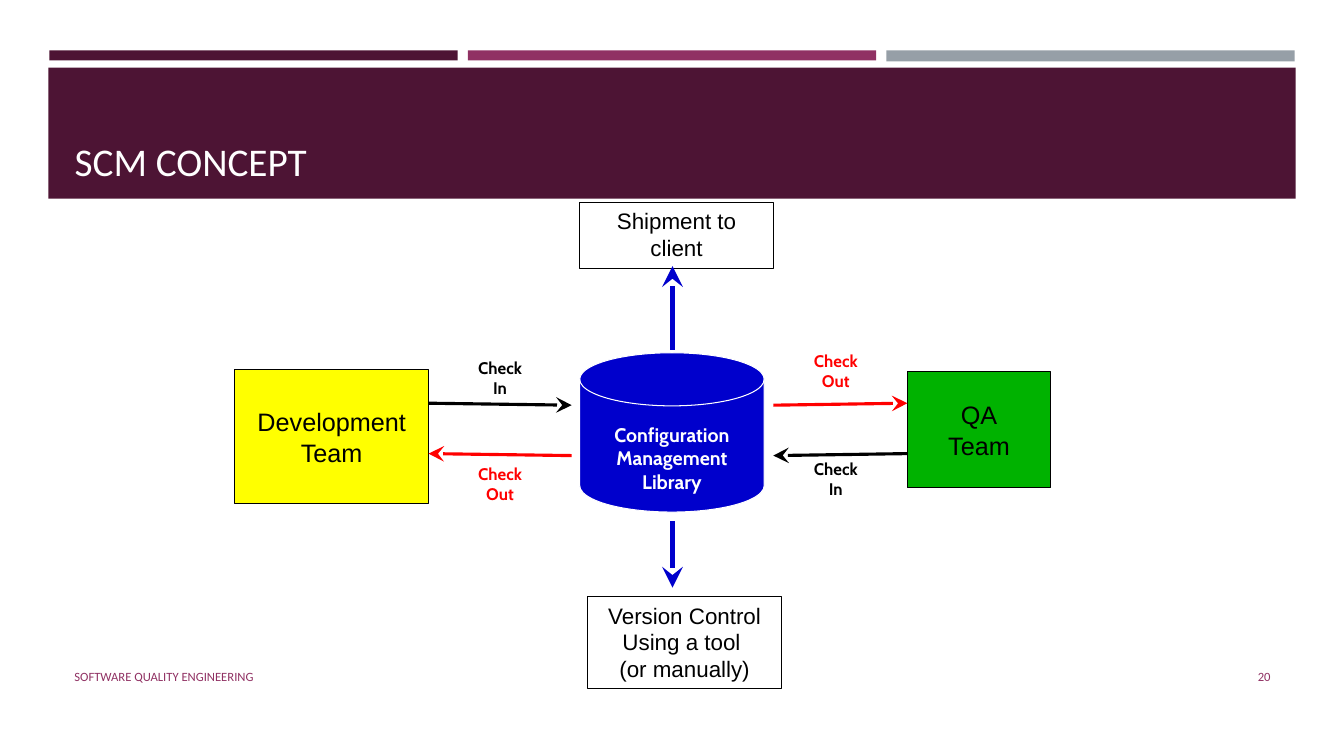
import pptx
import pptx.util
import pptx.dml.color
import pptx.enum.shapes
import pptx.enum.text
import lxml.etree

Inches, Pt = pptx.util.Inches, pptx.util.Pt
RGBColor = pptx.dml.color.RGBColor
Kind = pptx.enum.shapes.MSO_SHAPE
Align = pptx.enum.text.PP_ALIGN
Anchor = pptx.enum.text.MSO_ANCHOR

PLUM = RGBColor(0x4D, 0x14, 0x34)
ROSE = RGBColor(0x90, 0x31, 0x63)
GREY = RGBColor(0x96, 0x9F, 0xA7)
YELLOW = RGBColor(0xFF, 0xFF, 0x00)
GREEN = RGBColor(0x00, 0xB2, 0x00)
BLUE = RGBColor(0x00, 0x00, 0xCC)
RED = RGBColor(0xFF, 0x00, 0x00)
BLACK = RGBColor(0x00, 0x00, 0x00)
WHITE = RGBColor(0xFF, 0xFF, 0xFF)

# Content: places are left, top, width, height in inches
TITLE = "SCM CONCEPT"
BANDS = [
    ((0.49, 0.5, 4.05, 0.1), PLUM),
    ((4.64, 0.5, 4.05, 0.1), ROSE),
    ((8.79, 0.5, 4.05, 0.11), GREY),
    ((0.48, 0.67, 12.37, 1.3), PLUM),
]
TEAMS = [
    ((2.33, 3.67, 1.92, 1.33), ["Development", "Team"], YELLOW),
    ((9, 3.69, 1.42, 1.15), ["QA", "Team"], GREEN),
]
NOTES = [
    ((5.83, 5.92, 1.92, 0.91), ["Version Control Using a tool ", "(or manually)"]),
    ((5.75, 2.01, 1.92, 0.65), ["Shipment to client"]),
]
STORE = ((5.75, 3.5, 1.83, 1.58), ["Configuration", "Management", "Library"])
LABELS = [
    ((4.5, 3.5), ["Check", "In"], BLACK),
    ((4.5, 4.55), ["Check", "Out"], RED),
    ((7.83, 4.5), ["Check", "In"], BLACK),
    ((7.83, 3.43), ["Check", "Out"], RED),
]
# Each arrow points to its second end
ARROWS = [
    ((4.25, 4), (5.67, 4.02), BLACK, 2.25),
    ((5.67, 4.52), (4.25, 4.5), RED, 2.25),
    ((7.67, 4.02), (9, 4), RED, 2.25),
    ((9, 4.5), (7.67, 4.52), BLACK, 2.25),
    ((6.67, 5.17), (6.67, 5.83), BLUE, 3),
    ((6.67, 3.47), (6.67, 2.64), BLUE, 3),
]
FOOTER = [
    ((0.64, 6.51, 7.56, 0.4), "SOFTWARE QUALITY ENGINEERING", Align.LEFT),
    ((11.55, 6.51, 1.15, 0.4), "20", Align.RIGHT),
]

deck = pptx.Presentation()
deck.slide_width, deck.slide_height = Inches(13.33), Inches(7.5)
slide = deck.slides.add_slide(deck.slide_layouts[5])
shapes = slide.shapes


def write(shape, lines, size, face, color, align=Align.CENTER,
          anchor=Anchor.MIDDLE, bold=False, wrap=True):
    frame = shape.text_frame
    frame.word_wrap = wrap
    frame.vertical_anchor = anchor
    for i, line in enumerate(lines):
        para = frame.add_paragraph() if i else frame.paragraphs[0]
        para.alignment = align
        run = para.add_run()
        run.text = line
        run.font.size = Pt(size)
        run.font.name = face
        run.font.bold = bold
        run.font.color.rgb = color


def draw(kind, place, fill=None, edge=None):
    shape = shapes.add_shape(kind, *map(Inches, place))
    shape.shadow.inherit = False
    if fill is None:
        shape.fill.background()
    else:
        shape.fill.solid()
        shape.fill.fore_color.rgb = fill
    if edge is None:
        shape.line.fill.background()
    else:
        shape.line.color.rgb = edge
        shape.line.width = Pt(0.75)
    return shape


def arrow(start, end, color, width):
    line = shapes.add_connector(pptx.enum.shapes.MSO_CONNECTOR.STRAIGHT,
                                *map(Inches, start + end))
    line.line.color.rgb = color
    line.line.width = Pt(width)
    tip = lxml.etree.SubElement(line.line._get_or_add_ln(),
                                pptx.oxml.ns.qn("a:tailEnd"))
    for key, value in (("type", "stealth"), ("w", "lg"), ("len", "lg")):
        tip.set(key, value)
    lxml.etree.SubElement(line.element.spPr, pptx.oxml.ns.qn("a:effectLst"))


# Header bands lie behind the title
title = shapes.title
for place, color in BANDS:
    title.element.addprevious(draw(Kind.RECTANGLE, place, color).element)
title.left, title.top = Inches(0.64), Inches(0.77)
title.width, title.height = Inches(12.06), Inches(1.11)
write(title, [TITLE], 28, "Calibri", WHITE, Align.LEFT, Anchor.BOTTOM)

# Teams and notes
for place, lines, fill in TEAMS:
    box = draw(Kind.RECTANGLE, place, fill, BLACK)
    write(box, lines, 18, "Arial", BLACK, wrap=False)
for place, lines in NOTES:
    box = draw(Kind.RECTANGLE, place, edge=BLACK)
    write(box, lines, 16, "Arial", BLACK, anchor=Anchor.TOP)

# Arrows and their labels
for item in ARROWS:
    arrow(*item)
for spot, lines, color in LABELS:
    box = shapes.add_textbox(*map(Inches, spot + (0.92, 0.5)))
    write(box, lines, 12, "Cabin", color, anchor=Anchor.TOP, bold=True)

# Library: the top inset sets the text below the lid
place, lines = STORE
disk = draw(Kind.FLOWCHART_MAGNETIC_DISK, place, BLUE, WHITE)
disk.text_frame.margin_top = Inches(0.29)
write(disk, lines, 14, "Cabin", WHITE, bold=True, wrap=False)

# Footer
for place, text, align in FOOTER:
    box = shapes.add_textbox(*map(Inches, place))
    write(box, [text], 9, "Calibri", ROSE, align)

deck.save("out.pptx")
